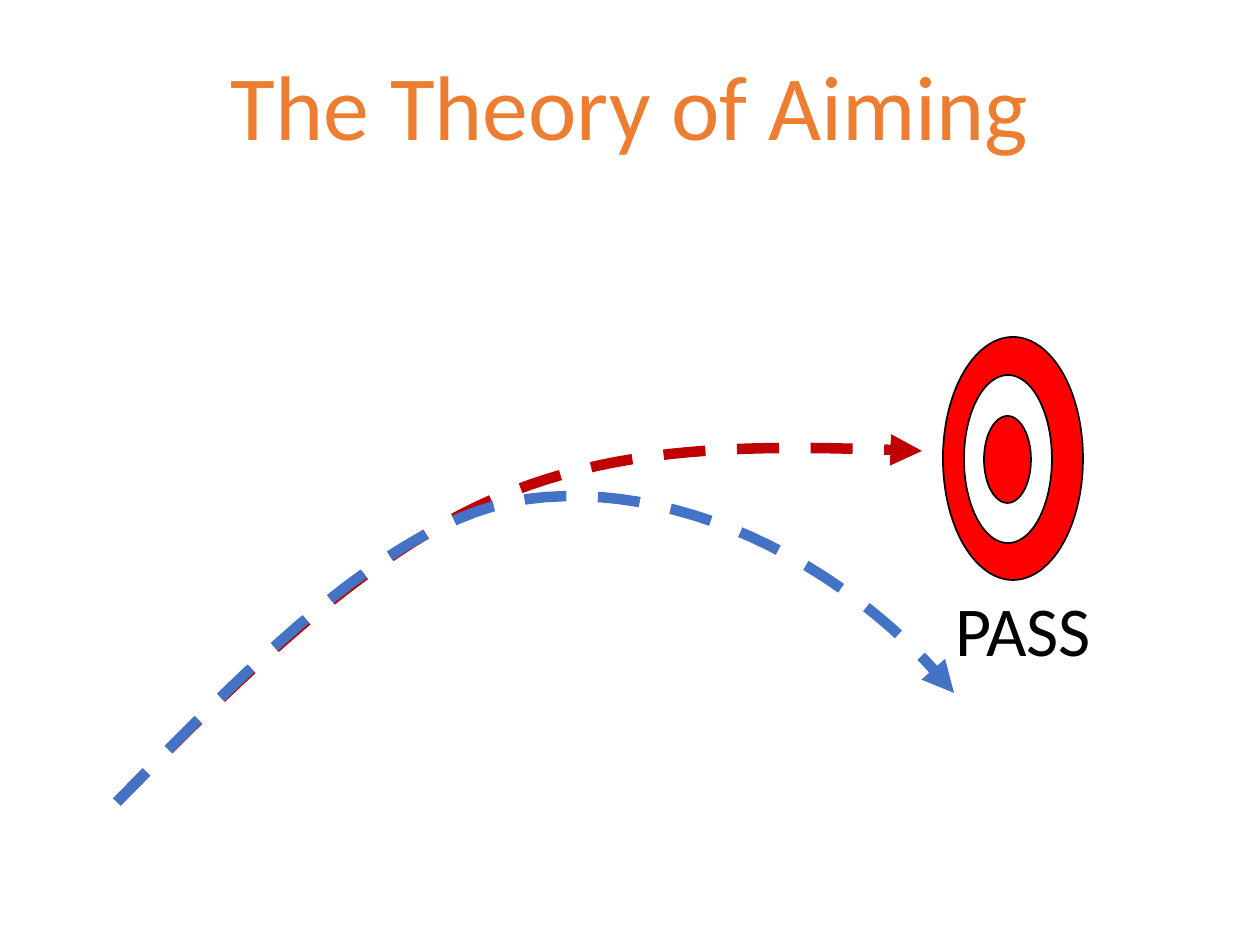
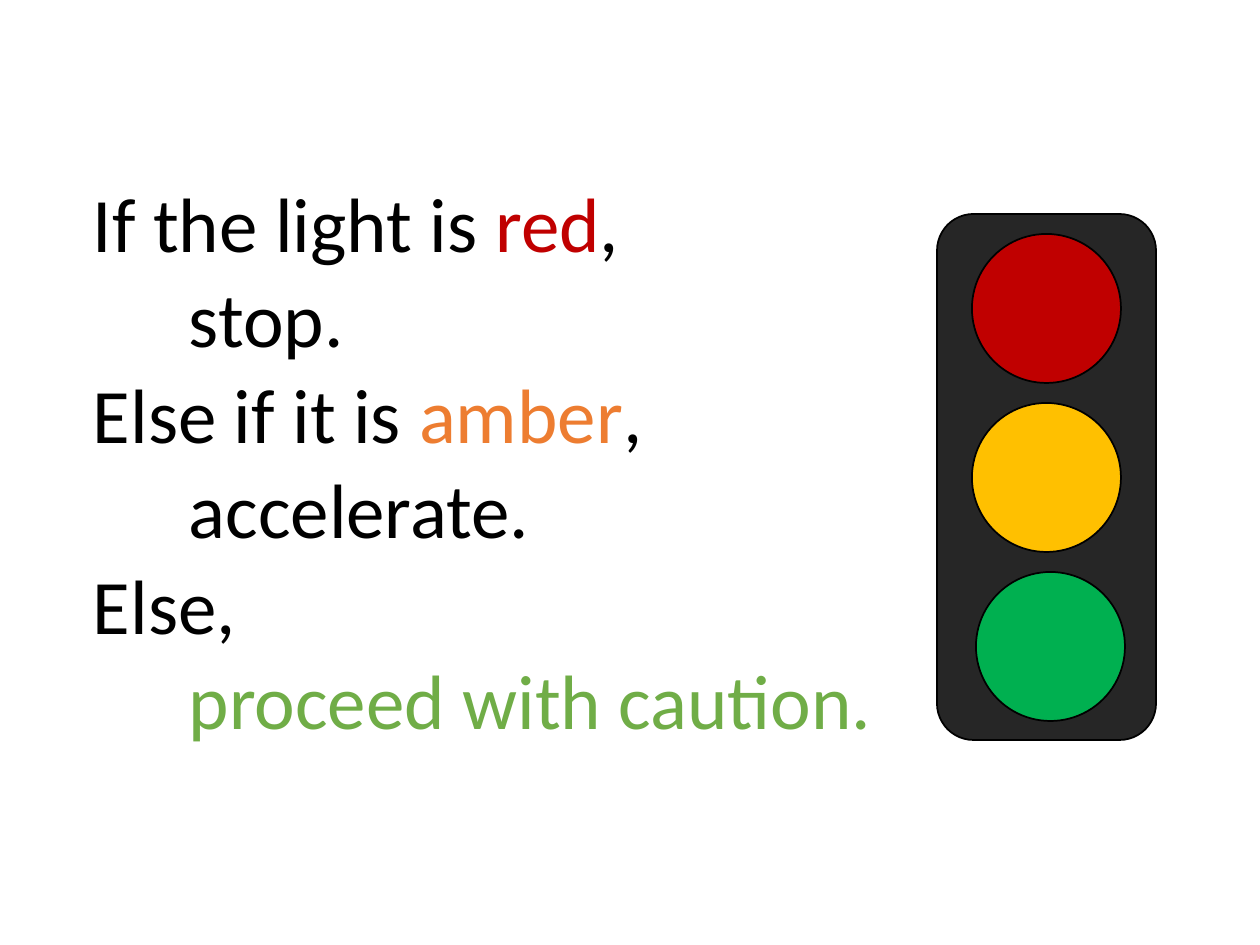
from lxml import etree
from pptx import Presentation
from pptx.dml.color import RGBColor
from pptx.enum import dml, shapes, text
from pptx.oxml.ns import qn
from pptx.util import Emu, Pt

SCALE = 914400 / 126
COLORS = {
    "black": "000000", "white": "FFFFFF", "title": "ED7D31",
    "target": "FF0000", "red": "C00000", "blue": "4472C4",
    "amber": "FFC000", "green": "00B050", "caution": "70AD47",
    "housing": "262626",
}


def px(length):
    return Emu(round(length * SCALE))


def color(name):
    return RGBColor.from_string(COLORS[name])


def apply(target, formats):
    for name, value in formats.items():
        setattr(target, name, value)


def bezier(start, curves, steps=24):
    for first, second, end in curves:
        for step in range(1, steps + 1):
            t = step / steps
            weights = ((1 - t) ** 3, 3 * t * (1 - t) ** 2, 3 * t * t * (1 - t), t ** 3)
            corners = (start, first, second, end)
            yield tuple(px(sum(w * c[axis] for w, c in zip(weights, corners)))
                        for axis in (0, 1))
        start = end


class Deck:
    font = "Calibri"

    def __init__(self):
        self.show = Presentation()
        apply(self.show, {"slide_width": px(1260), "slide_height": px(945)})
        self.slide = None

    def new_slide(self):
        self.slide = self.show.slides.add_slide(self.show.slide_layouts[6])

    def text(self, box, paragraphs, size, inset=6, paragraph_format=None, **frame_format):
        frame = self.slide.shapes.add_textbox(*map(px, box)).text_frame
        margins = {f"margin_{side}": px(inset) for side in ("left", "top", "right", "bottom")}
        apply(frame, {"word_wrap": True, **margins, **frame_format})
        for index, (indent, runs) in enumerate(paragraphs):
            paragraph = frame.add_paragraph() if index else frame.paragraphs[0]
            if indent:
                paragraph._p.get_or_add_pPr().set("marL", str(px(indent)))
            apply(paragraph, paragraph_format or {})
            if index == 0:
                paragraph.space_before = Pt(0)
            for words, tint in runs:
                run = paragraph.add_run()
                run.text = words
                apply(run.font, {"name": self.font, "size": Pt(size)})
                run.font.color.rgb = color(tint)

    def title(self, words):
        self.text((87, 50, 1086, 121), [(0, [(words, "title")])], 52.4, inset=0,
                  paragraph_format={"alignment": text.PP_ALIGN.CENTER, "line_spacing": 0.9},
                  vertical_anchor=text.MSO_ANCHOR.MIDDLE)

    def shape(self, kind, box, fill):
        shape = self.slide.shapes.add_shape(kind, *map(px, box))
        shape.shadow.inherit = False
        shape.fill.solid()
        shape.fill.fore_color.rgb = color(fill)
        shape.line.color.rgb = color("black")
        shape.line.width = Pt(1)

    def ellipse(self, box, fill):
        self.shape(shapes.MSO_SHAPE.OVAL, box, fill)

    def flight(self, start, curves, tint):
        builder = self.slide.shapes.build_freeform(*map(px, start))
        builder.add_line_segments(list(bezier(start, curves)), close=False)
        curve = builder.convert_to_shape()
        curve.shadow.inherit = False
        curve.fill.background()
        curve.line.color.rgb = color(tint)
        apply(curve.line, {"width": Pt(6), "dash_style": dml.MSO_LINE.DASH})
        outline = curve.line._get_or_add_ln()
        etree.SubElement(outline, qn("a:round"))
        etree.SubElement(outline, qn("a:tailEnd"), type="triangle")


def aiming(deck):
    deck.new_slide()
    deck.title("The Theory of Aiming")
    rings = [((943, 337, 140, 243), "target"),
             ((964, 375, 88, 168), "white"),
             ((984, 416, 47, 87), "target")]
    for box, fill in rings:
        deck.ellipse(box, fill)
    deck.text((946, 581, 154, 95), [(0, [("PASS", "black")])], 40, word_wrap=False,
              paragraph_format={"alignment": text.PP_ALIGN.CENTER})
    launch = (117, 802)
    deck.flight(launch, [((238, 679), (360, 557), (494, 499)),
                         ((629, 440), (775, 446), (922, 451))], "red")
    deck.flight(launch, [((238, 679), (388, 517), (528, 499)),
                         ((668, 480), (840, 554), (954, 693))], "blue")


def traffic_light(deck):
    deck.new_slide()
    action_indent = 96
    rules = [
        (0, [("If the light is ", "black"), ("red", "red"), (",", "black")]),
        (action_indent, [("stop.", "black")]),
        (0, [("Else if it is ", "black"), ("amber", "title"), (",", "black")]),
        (action_indent, [("accelerate.", "black")]),
        (0, [("Else,", "black")]),
        (action_indent, [("proceed with caution.", "caution")]),
    ]
    deck.text((87, 180, 1086, 670), rules, 44,
              paragraph_format={"line_spacing": 0.9, "space_before": Pt(7)})
    deck.shape(shapes.MSO_SHAPE.ROUNDED_RECTANGLE, (937, 214, 219, 526), "housing")
    lamps = [("red", 972), ("amber", 972), ("green", 976)]
    for row, (fill, left) in enumerate(lamps):
        deck.ellipse((left, 234 + 169 * row, 149, 149), fill)


def main():
    deck = Deck()
    aiming(deck)
    traffic_light(deck)
    deck.show.save("out.pptx")


if __name__ == "__main__":
    main()
